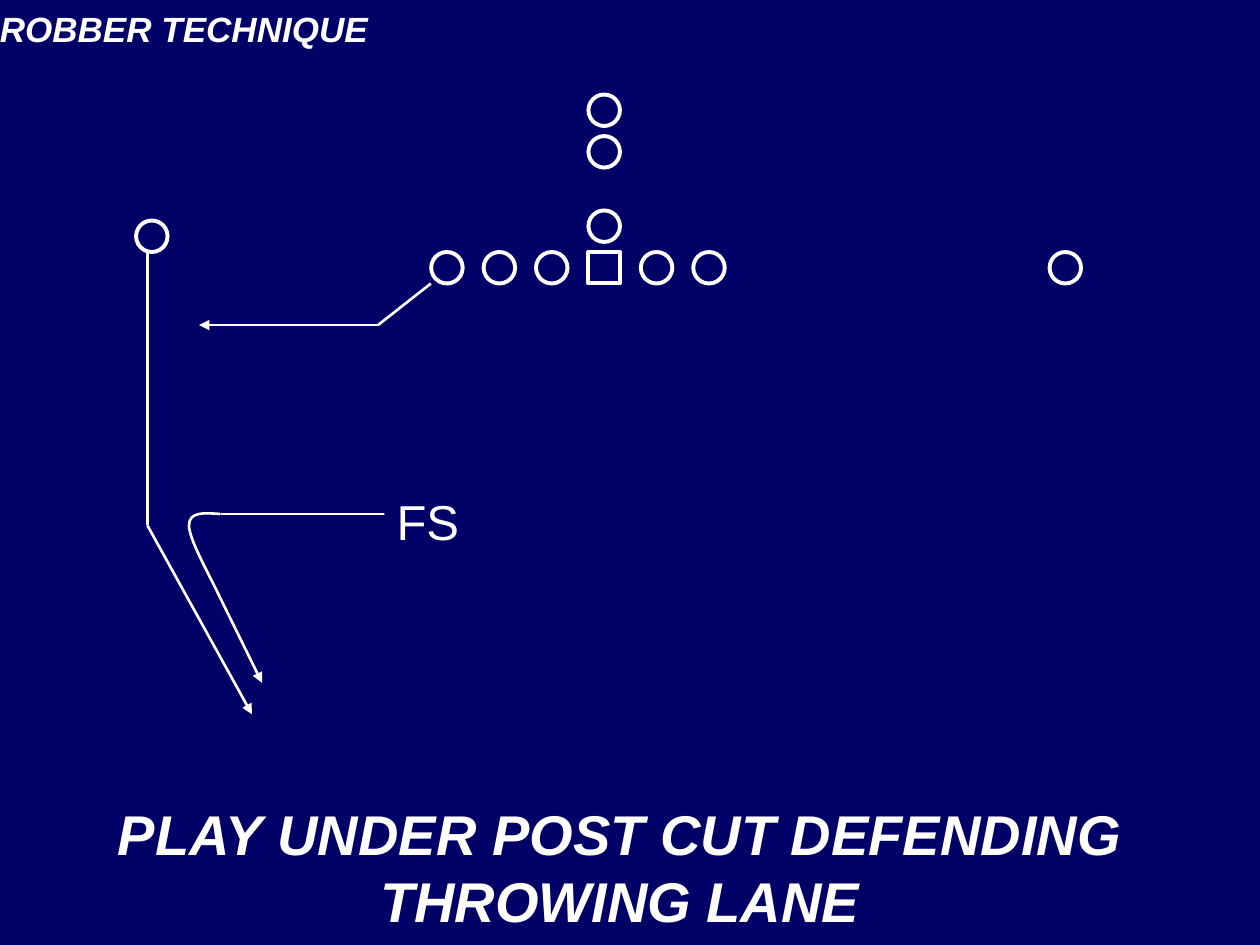
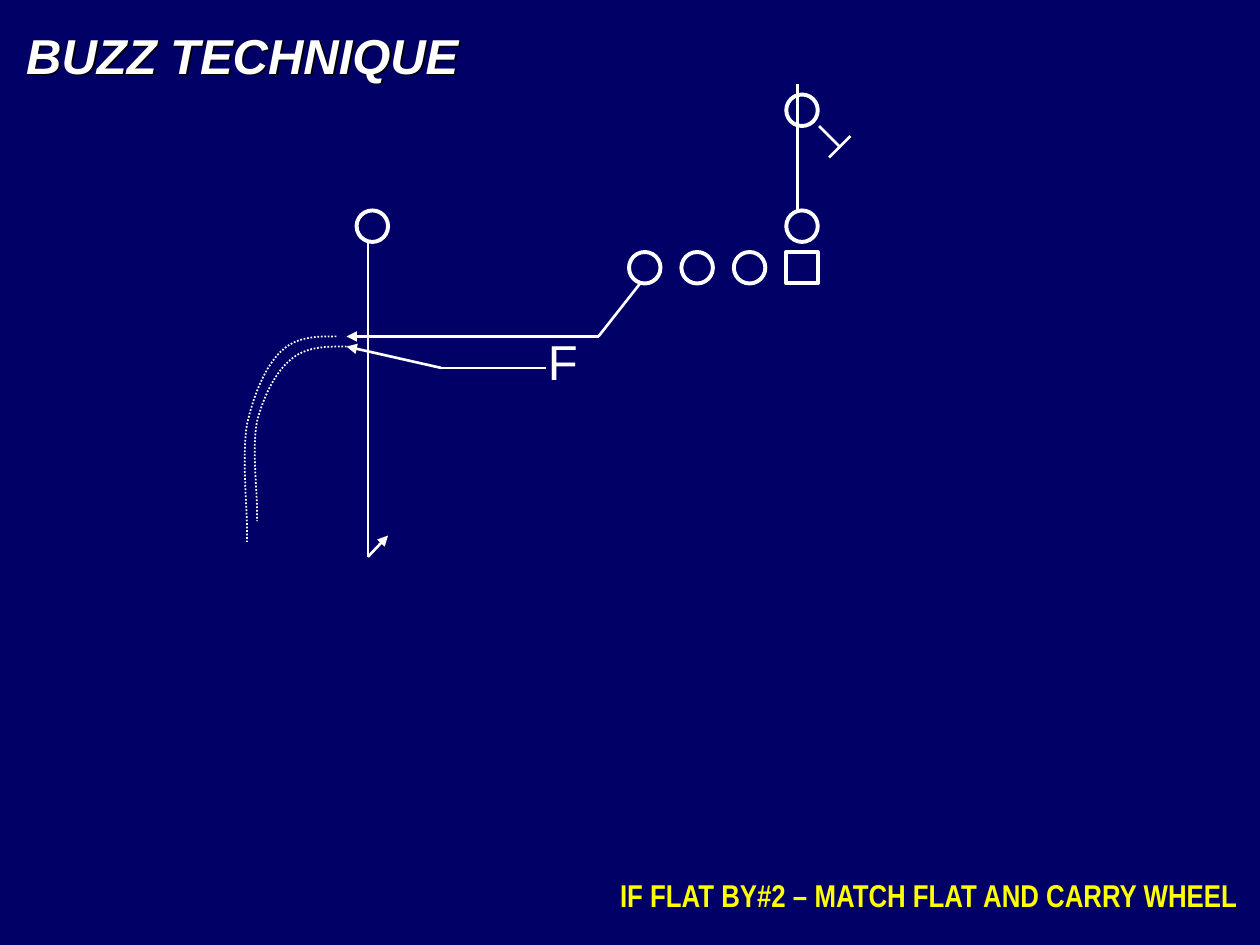
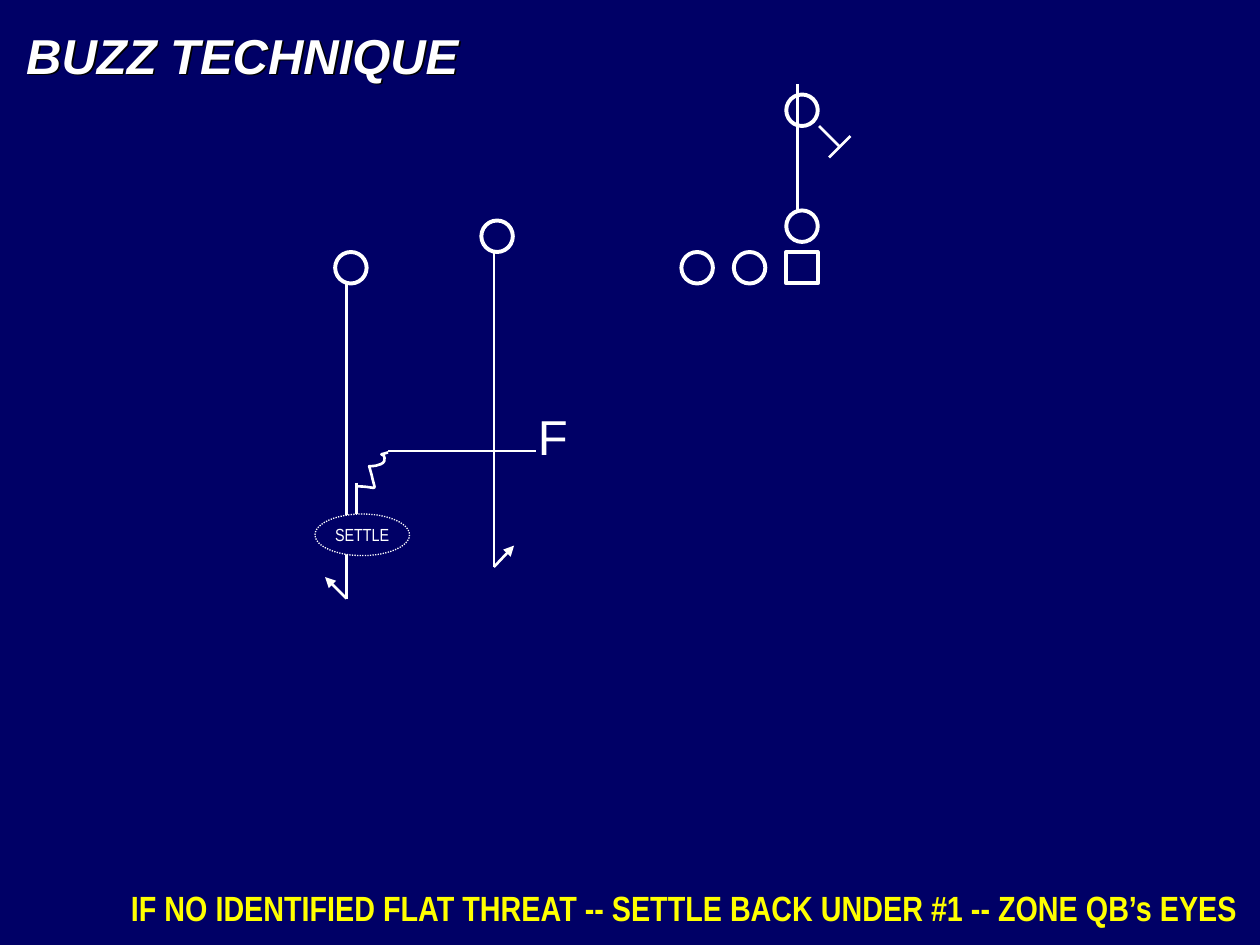
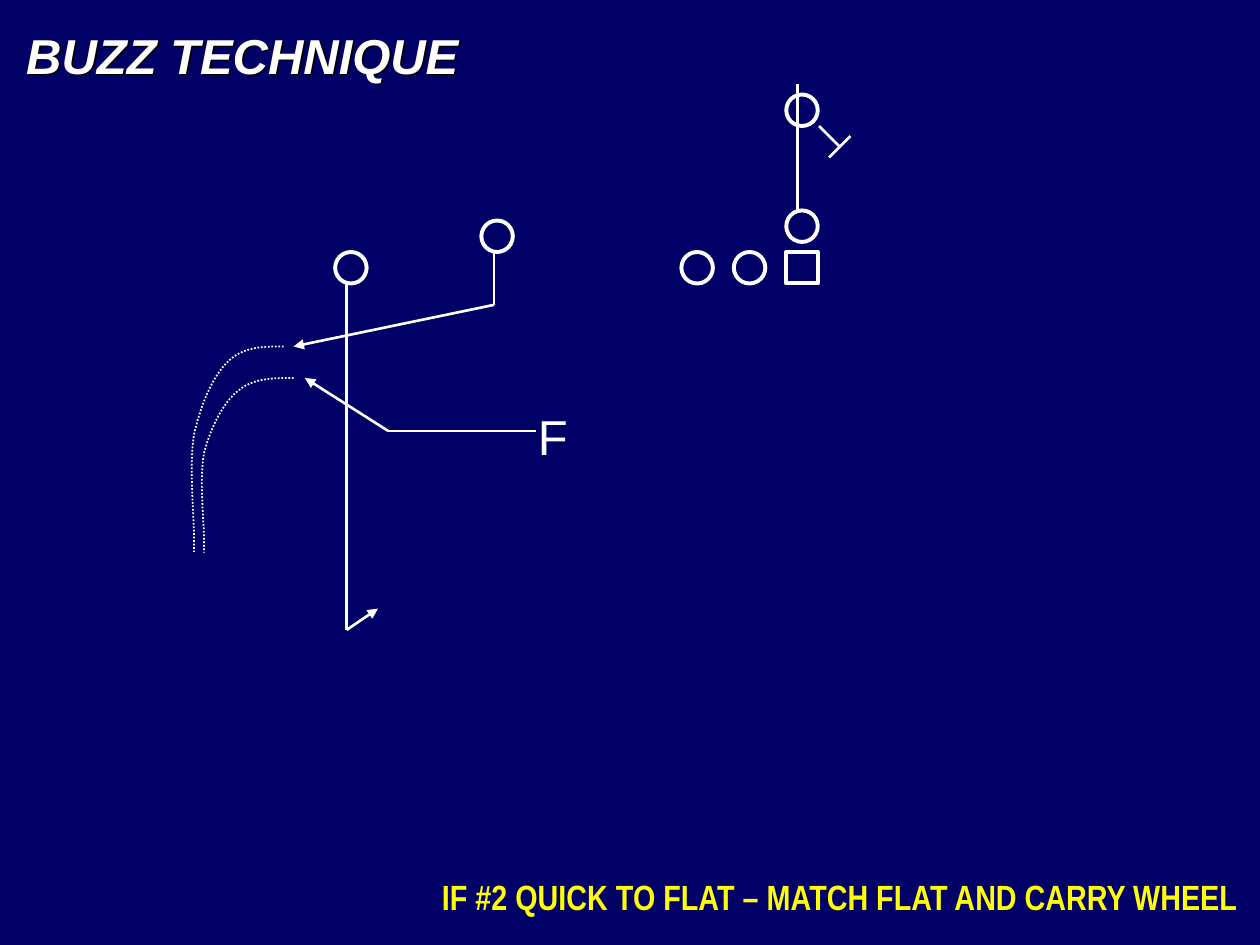
from lxml import etree
from pptx import Presentation
from pptx.dml.color import RGBColor
from pptx.enum.dml import MSO_LINE
from pptx.enum.shapes import MSO_CONNECTOR, MSO_SHAPE
from pptx.enum.text import MSO_ANCHOR, MSO_AUTO_SIZE, PP_ALIGN
from pptx.oxml.ns import qn
from pptx.util import Cm, Pt

# Shared look
NAVY = "000066"
WHITE = "FFFFFF"
YELLOW = "FFFF00"
BLACK = "000000"
SANS = "Arial"
NARROW = "Arial Narrow"

# Field measures, in inches
PLAYER = 0.25
LINE_STEP = 0.416
LINE_TOP = 2
CENTER_X = 6.24  # center of the Buzz slides

# Wheel route: Bezier points measured from its start
WHEEL = [(0, 0), (-0.16, 0), (-0.32, 0), (-0.44, 0.12), (-0.56, 0.23),
         (-0.66, 0.47), (-0.71, 0.7), (-0.75, 0.93), (-0.71, 1.36),
         (-0.71, 1.51), (-0.71, 1.67), (-0.71, 1.59), (-0.71, 1.63)]


def length(inches):
    return Cm(inches * 2.54)


def color(code):
    return RGBColor.from_string(code)


# Formatting
def style(shape, fill=None, line=None, weight=1.5, dotted=False):
    shape.shadow.inherit = False
    if fill:
        shape.fill.solid()
        shape.fill.fore_color.rgb = color(fill)
    else:
        shape.fill.background()
    if line:
        shape.line.color.rgb = color(line)
        shape.line.width = Pt(weight)
        if dotted:
            shape.line.dash_style = MSO_LINE.ROUND_DOT
    else:
        shape.line.fill.background()


def add_text_shadow(box):
    """A shadow on an unfilled box falls from its letters."""
    effects = etree.SubElement(box._element.spPr, qn("a:effectLst"))
    shadow = etree.SubElement(effects, qn("a:outerShdw"),
                              dist="18000", dir="2700000", algn="ctr")
    etree.SubElement(shadow, qn("a:srgbClr"), val=BLACK)


def write(box, text, size=28, font=SANS, ink=WHITE, bold=False, italic=False,
          align=PP_ALIGN.LEFT, anchor=MSO_ANCHOR.TOP, wrap=True, grow=True):
    frame = box.text_frame
    frame.word_wrap = wrap
    frame.auto_size = MSO_AUTO_SIZE.SHAPE_TO_FIT_TEXT if grow else MSO_AUTO_SIZE.NONE
    frame.vertical_anchor = anchor
    para = frame.paragraphs[0]
    para.alignment = align
    span = para.add_run()
    span.text = text
    span.font.name = font
    span.font.size = Pt(size)
    span.font.bold = bold
    span.font.italic = italic
    span.font.color.rgb = color(ink)


# Elements
def add_preset(page, kind, left, top, width, height, **look):
    shape = page.shapes.add_shape(kind, *map(length, (left, top, width, height)))
    style(shape, **look)
    return shape


def add_caption(page, left, top, width, height, text, **text_format):
    box = page.shapes.add_textbox(*map(length, (left, top, width, height)))
    write(box, text, **text_format)
    return box


def add_player(page, left, top, kind=MSO_SHAPE.OVAL):
    add_preset(page, kind, left, top, PLAYER, PLAYER,
               fill=NAVY, line=WHITE, weight=2.25)


def add_linemen(page, center, before, after=0):
    for place in range(-before, after + 1):
        kind = MSO_SHAPE.OVAL if place else MSO_SHAPE.RECTANGLE
        add_player(page, center + place * LINE_STEP, LINE_TOP, kind)


def add_defender(page, left, top, width, text):
    box = add_caption(page, left, top, width, 0.57, text, wrap=False)
    style(box, fill=NAVY)


def add_route(page, *points, arrow=False):
    """Straight segments through the points; the arrow ends the last one."""
    for start, end in zip(points, points[1:]):
        segment = page.shapes.add_connector(
            MSO_CONNECTOR.STRAIGHT, *map(length, start + end))
        segment.line.color.rgb = color(WHITE)
        segment.line.width = Pt(1.5)
        if arrow and end == points[-1]:
            etree.SubElement(segment.line._get_or_add_ln(), qn("a:tailEnd"),
                             type="triangle")
        etree.SubElement(segment._element.spPr, qn("a:effectLst"))


def add_curve(page, points, **look):
    """Bezier curve: a start, then three points for each piece."""
    start, *rest = [(length(x), length(y)) for x, y in points]
    builder = page.shapes.build_freeform(*start)
    builder.add_line_segments(rest, close=False)
    shape = builder.convert_to_shape()
    steps = list(shape._element.iter(qn("a:lnTo")))
    for first in range(0, len(steps), 3):
        piece = etree.Element(qn("a:cubicBezTo"))
        steps[first].addprevious(piece)
        for step in steps[first:first + 3]:
            piece.append(step[0])
            step.getparent().remove(step)
    style(shape, line=WHITE, **look)


def add_wheel(page, x, y, stretch=1):
    points = [(x + across, y + down * stretch) for across, down in WHEEL]
    add_curve(page, points, weight=1, dotted=True)


# Slides
def add_page(deck):
    return deck.slides.add_slide(deck.slide_layouts[6])


def add_buzz_page(deck, linemen, receivers, defender, note, note_top, note_size):
    page = add_page(deck)
    add_linemen(page, CENTER_X, linemen)
    for left, top in [(CENTER_X, 1.67), (CENTER_X, 0.75)] + receivers:
        add_player(page, left, top)
    add_defender(page, *defender, 0.44, "F")
    title = add_caption(page, 0.11, 0.15, 4.3, 0.57, "BUZZ TECHNIQUE",
                        bold=True, italic=True)
    add_text_shadow(title)
    add_caption(page, 0.17, note_top, 9.75, 0.44, note, size=note_size,
                font=NARROW, ink=YELLOW, bold=True, align=PP_ALIGN.RIGHT)
    # Quarterback drop and running back block
    add_route(page, (6.33, 1.67), (6.33, 0.67))
    add_route(page, (6.5, 1), (6.67, 1.17))
    add_route(page, (6.58, 1.25), (6.75, 1.08))
    return page


def build_robber(deck):
    page = add_page(deck)
    add_linemen(page, 4.67, before=3, after=2)
    for left, top in [(4.67, 1.67), (4.67, 1.08), (4.67, 0.75),
                      (8.33, 2), (1.08, 1.75)]:
        add_player(page, left, top)
    add_caption(page, -0.1, 0.01, 3.12, 0.44, "ROBBER TECHNIQUE",
                size=20, bold=True, italic=True, wrap=False)
    add_caption(page, 0.67, 6.25, 8.5, 1.25,
                "PLAY UNDER POST CUT DEFENDING THROWING LANE",
                size=32, bold=True, italic=True, align=PP_ALIGN.CENTER,
                anchor=MSO_ANCHOR.MIDDLE, grow=False)
    # Flat and post routes
    add_route(page, (3.42, 2.25), (3, 2.58), (1.58, 2.58), arrow=True)
    add_route(page, (1.17, 2), (1.17, 4.17), (2, 5.67), arrow=True)
    # Free safety drop
    add_route(page, (3.08, 4.08), (1.75, 4.08))
    add_curve(page, [(1.75, 4.08), (1.62, 4.07), (1.5, 4.06), (1.5, 4.17),
                     (1.5, 4.28), (1.65, 4.54), (1.75, 4.75)], fill=NAVY)
    add_route(page, (1.75, 4.75), (2.08, 5.42), arrow=True)
    add_defender(page, 3.05, 3.85, 0.7, "FS")


def build_flat_by_two(deck):
    page = add_buzz_page(deck, 3, [(2.83, 1.67)], (4.25, 2.58),
                         "IF FLAT BY#2 – MATCH FLAT AND CARRY WHEEL", 6.9, 18)
    add_route(page, (2.92, 1.92), (2.92, 4.42), (3.08, 4.25), arrow=True)
    add_route(page, (5.08, 2.25), (4.75, 2.67), (2.75, 2.67), arrow=True)
    add_route(page, (4.33, 2.92), (3.5, 2.92), (2.75, 2.75), arrow=True)
    add_wheel(page, 2.67, 2.67)
    add_wheel(page, 2.75, 2.75, stretch=0.85)


def build_settle(deck):
    page = add_buzz_page(
        deck, 2, [(2.66, 2), (3.82, 1.75)], (4.17, 3.18),
        "IF NO IDENTIFIED FLAT THREAT -- SETTLE BACK UNDER #1 -- ZONE QB’s EYES",
        6.99, 20)
    add_route(page, (2.75, 2.25), (2.75, 4.75), (2.58, 4.58), arrow=True)
    add_route(page, (3.92, 2), (3.92, 4.5), (4.08, 4.33), arrow=True)
    # Drop to the settle zone
    add_route(page, (4.25, 3.58), (3.08, 3.58))
    add_curve(page, [(3.08, 3.59), (2.96, 3.63), (3.07, 3.57), (3.05, 3.66),
                     (3.03, 3.7), (2.94, 3.7), (2.93, 3.7),
                     (2.94, 3.72), (2.94, 3.75), (2.95, 3.77),
                     (2.98, 3.92), (3.01, 3.86), (2.83, 3.86)])
    add_route(page, (2.83, 3.83), (2.83, 4.08))
    zone = add_preset(page, MSO_SHAPE.OVAL, 2.5, 4.08, 0.75, 0.33,
                      fill=NAVY, line=WHITE, weight=0.75, dotted=True)
    write(zone, "SETTLE", size=10, font=NARROW, align=PP_ALIGN.CENTER,
          anchor=MSO_ANCHOR.MIDDLE, wrap=False, grow=False)


def build_quick_flat(deck):
    page = add_buzz_page(deck, 2, [(2.66, 2), (3.82, 1.75)], (4.17, 3.18),
                         "IF #2 QUICK TO FLAT – MATCH FLAT AND CARRY WHEEL",
                         6.9, 20)
    add_route(page, (3.92, 2), (3.92, 2.42), (2.33, 2.75), arrow=True)
    add_route(page, (2.75, 2.25), (2.75, 5), (3, 4.83), arrow=True)
    add_route(page, (4.25, 3.42), (3.08, 3.42), (2.42, 3), arrow=True)
    add_wheel(page, 2.25, 2.75)
    add_wheel(page, 2.33, 3, stretch=0.85)


def main():
    deck = Presentation()
    deck.slide_width = length(10)
    deck.slide_height = length(7.5)
    backdrop = deck.slide_master.background.fill
    backdrop.solid()
    backdrop.fore_color.rgb = color(NAVY)
    build_robber(deck)
    build_flat_by_two(deck)
    build_settle(deck)
    build_quick_flat(deck)
    deck.save("out.pptx")


if __name__ == "__main__":
    main()
